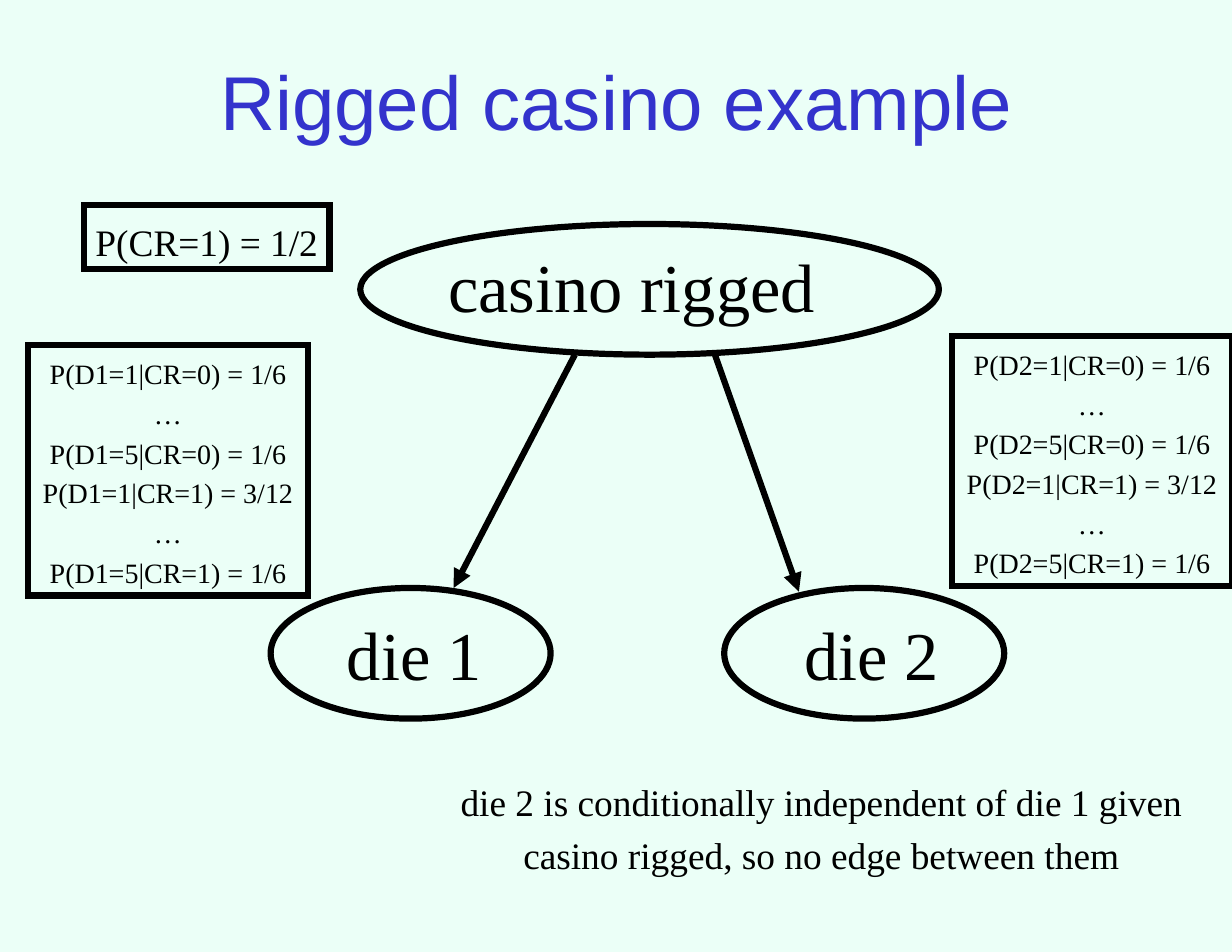
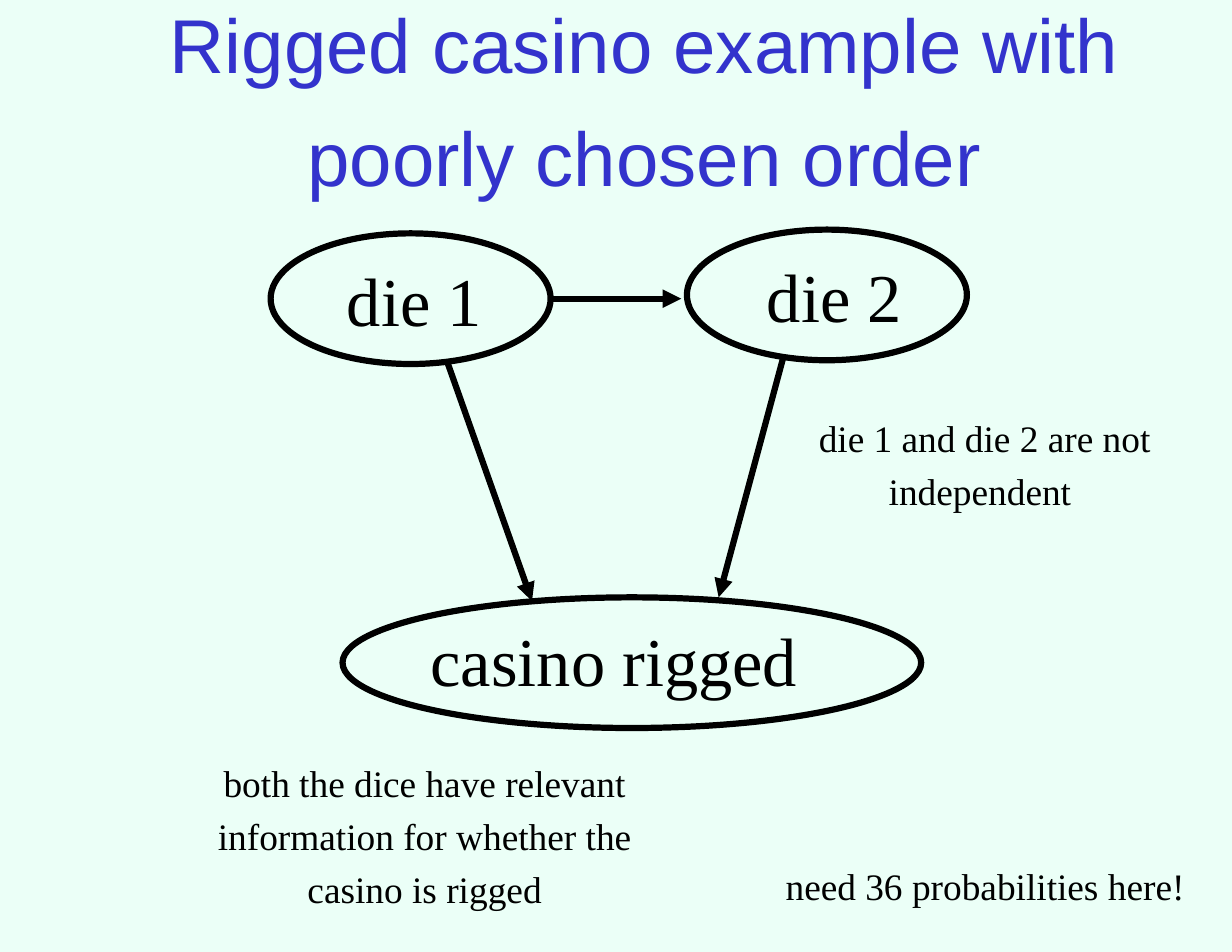
"""Build two slides on Bayesian networks for the rigged casino example."""
import pptx
import pptx.dml.color
import pptx.enum.shapes
import pptx.enum.text
import pptx.oxml
import pptx.oxml.ns
import pptx.util

COLUMNS, ROWS = 132, 102
MINT, INK, TITLE_BLUE = "EBFFF7", "000000", "3333CC"
STROKE = pptx.util.Pt(4)
NODE_HEIGHT, LABEL_HEIGHT = 14, 11.6
DRAWING = pptx.oxml.ns.nsdecls("a")
LINE_TAG = pptx.oxml.ns.qn("a:ln")
OVAL = pptx.enum.shapes.MSO_SHAPE.OVAL
RECTANGLE = pptx.enum.shapes.MSO_SHAPE.RECTANGLE
ANCHOR = pptx.enum.text.MSO_ANCHOR
AUTO_SIZE = pptx.enum.text.MSO_AUTO_SIZE

deck = pptx.Presentation()
deck.slide_width = pptx.util.Inches(11)
deck.slide_height = pptx.util.Inches(8.5)
column = deck.slide_width / COLUMNS
row = deck.slide_height / ROWS


def colour(hex_string):
    return pptx.dml.color.RGBColor.from_string(hex_string)


def write(slide, lines, cell, size, wrap=True, framed=False, title=False):
    left, top, width, height = cell
    area = [int(left * column), int(top * row), int(width * column), int(height * row)]
    if framed:
        box = slide.shapes.add_shape(RECTANGLE, *area)
        box.shadow.inherit = False
        box.fill.background()
        box.line.color.rgb = colour(INK)
        box.line.width = STROKE
        square_corner = pptx.oxml.parse_xml(f'<a:miter {DRAWING} lim="800000"/>')
        box._element.spPr.find(LINE_TAG).append(square_corner)
    else:
        box = slide.shapes.add_textbox(*area)
    frame = box.text_frame
    frame.word_wrap = wrap
    frame.auto_size = AUTO_SIZE.NONE if title else AUTO_SIZE.SHAPE_TO_FIT_TEXT
    frame.vertical_anchor = ANCHOR.MIDDLE if title else ANCHOR.TOP
    frame.margin_left = frame.margin_right = pptx.util.Inches(0.11 if title else 0.1)
    frame.margin_top = frame.margin_bottom = pptx.util.Inches(0.06 if title else 0.05)
    frame.text = "\n".join(lines)
    for paragraph in frame.paragraphs:
        paragraph.alignment = pptx.enum.text.PP_ALIGN.CENTER
        paragraph.line_spacing = 1.24 if title else 1.18
        paragraph.font.size = pptx.util.Pt(size)
        paragraph.font.name = "Arial" if title else "Times New Roman"
        paragraph.font.color.rgb = colour(TITLE_BLUE if title else INK)


networks = [
    {
        "title": ("Rigged casino example", (0, 5, 132, 9)),
        "nodes": [
            ("casino rigged", 46.4, 24, 42.6, 38.6, 24, 62),
            ("die 1", 35.4, 63.4, 18, 29, 63, 30),
            ("die 2", 84.4, 63.4, 18, 77.6, 63, 30),
        ],
        "edges": [(76.6, 38, 85.6, 63.4), (61.6, 38, 48.6, 63)],
        "notes": [
            ("die 2 is conditionally independent of die 1 given casino rigged, "
             "so no edge between them", (43, 82, 90, 12.6), True),
        ],
    },
    {
        "title": ("Rigged casino example with poorly chosen order", (9, 5, 120, 9)),
        "nodes": [
            ("casino rigged", 44.5, 64, 42.6, 36.7, 64, 62),
            ("die 1", 35.4, 25.5, 18, 29, 25, 30),
            ("die 2", 80.4, 25, 18, 73.6, 24.6, 30),
        ],
        "edges": [(48, 39, 57, 64.4), (59, 32, 73, 32), (84, 38, 77, 64)],
        "notes": [
            ("die 1 and die 2 are not independent ", (79, 43, 53, 12.6), True),
            ("both the dice have relevant information for whether the casino is rigged",
             (19, 80, 53, 18.2), True),
            ("need 36 probabilities here!", (82, 91, 47.1, 6.8), False),
        ],
    },
]

for network in networks:
    slide = deck.slides.add_slide(deck.slide_layouts[6])
    slide.background.fill.solid()
    slide.background.fill.fore_color.rgb = colour(MINT)
    heading, heading_cell = network["title"]
    write(slide, [heading], heading_cell, 49, title=True)

    for label, label_left, label_top, label_width, left, top, width in network["nodes"]:
        write(slide, [label], (label_left, label_top, label_width, LABEL_HEIGHT), 44, wrap=False)
        node = slide.shapes.add_shape(
            OVAL, int(left * column), int(top * row), int(width * column), int(NODE_HEIGHT * row))
        node.shadow.inherit = False
        node.fill.background()
        node.line.color.rgb = colour(INK)
        node.line.width = STROKE

    for start_x, start_y, end_x, end_y in network["edges"]:
        edge = slide.shapes.add_connector(
            pptx.enum.shapes.MSO_CONNECTOR.STRAIGHT,
            int(start_x * column), int(start_y * row), int(end_x * column), int(end_y * row))
        edge.line.color.rgb = colour(INK)
        edge.line.width = STROKE
        properties = edge._element.spPr
        arrowhead = pptx.oxml.parse_xml(f'<a:tailEnd {DRAWING} type="triangle"/>')
        properties.find(LINE_TAG).append(arrowhead)
        properties.append(pptx.oxml.parse_xml(f'<a:effectLst {DRAWING}/>'))

    for note, note_cell, wrap in network["notes"]:
        write(slide, [note], note_cell, 24, wrap=wrap)

causal_slide = deck.slides[0]
write(causal_slide, ["P(CR=1) = 1/2"], (9, 22, 26.3, 6.8), 24, wrap=False, framed=True)
for die, left, top in [("D1", 3, 37), ("D2", 102, 36)]:
    probabilities = []
    for rigged, first_face in [(0, "1/6"), (1, "3/12")]:
        probabilities += [
            f"P({die}=1|CR={rigged}) = {first_face}", "…", f"P({die}=5|CR={rigged}) = 1/6"]
    write(causal_slide, probabilities, (left, top, 30, 26.8), 18, framed=True)

deck.save("out.pptx")
